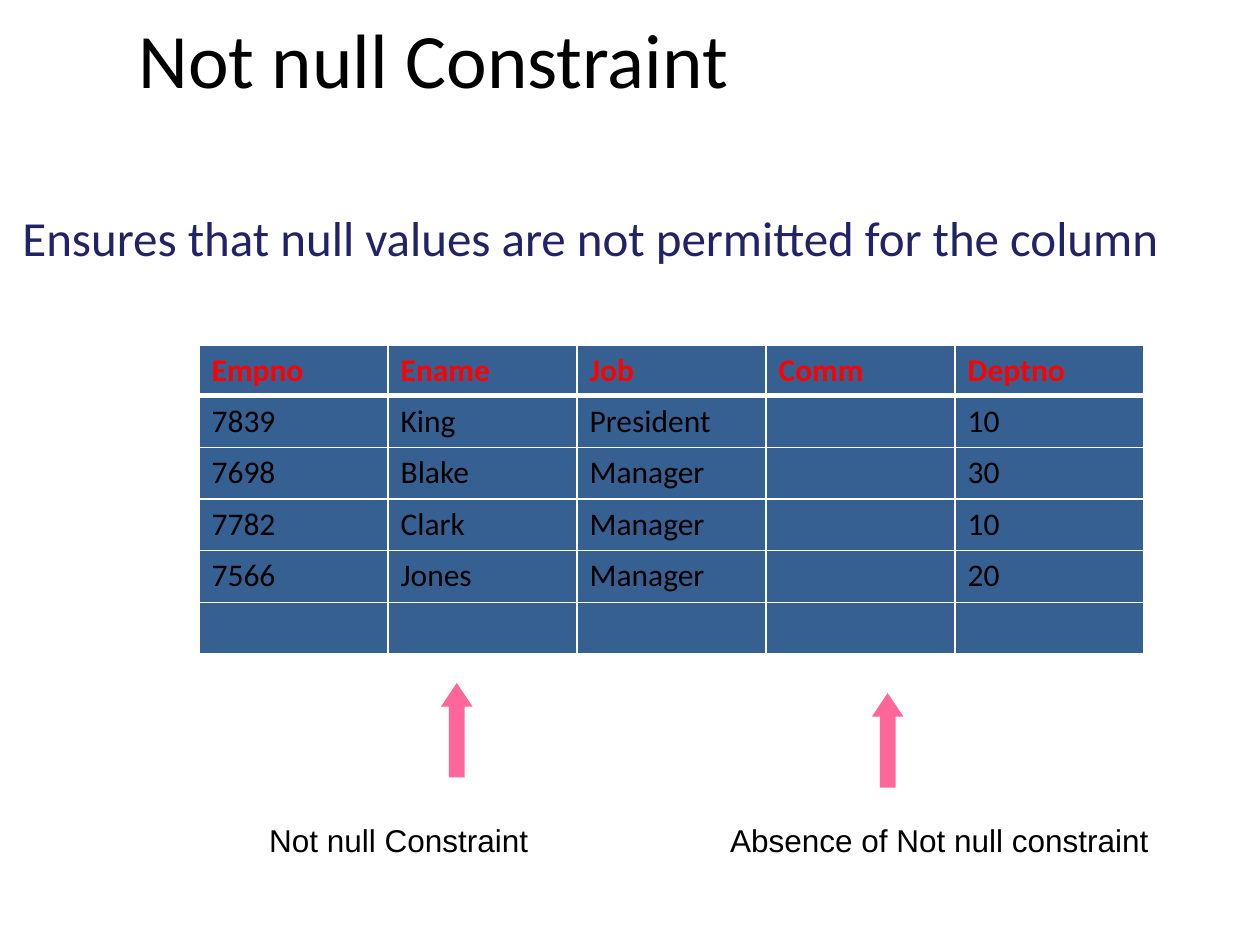
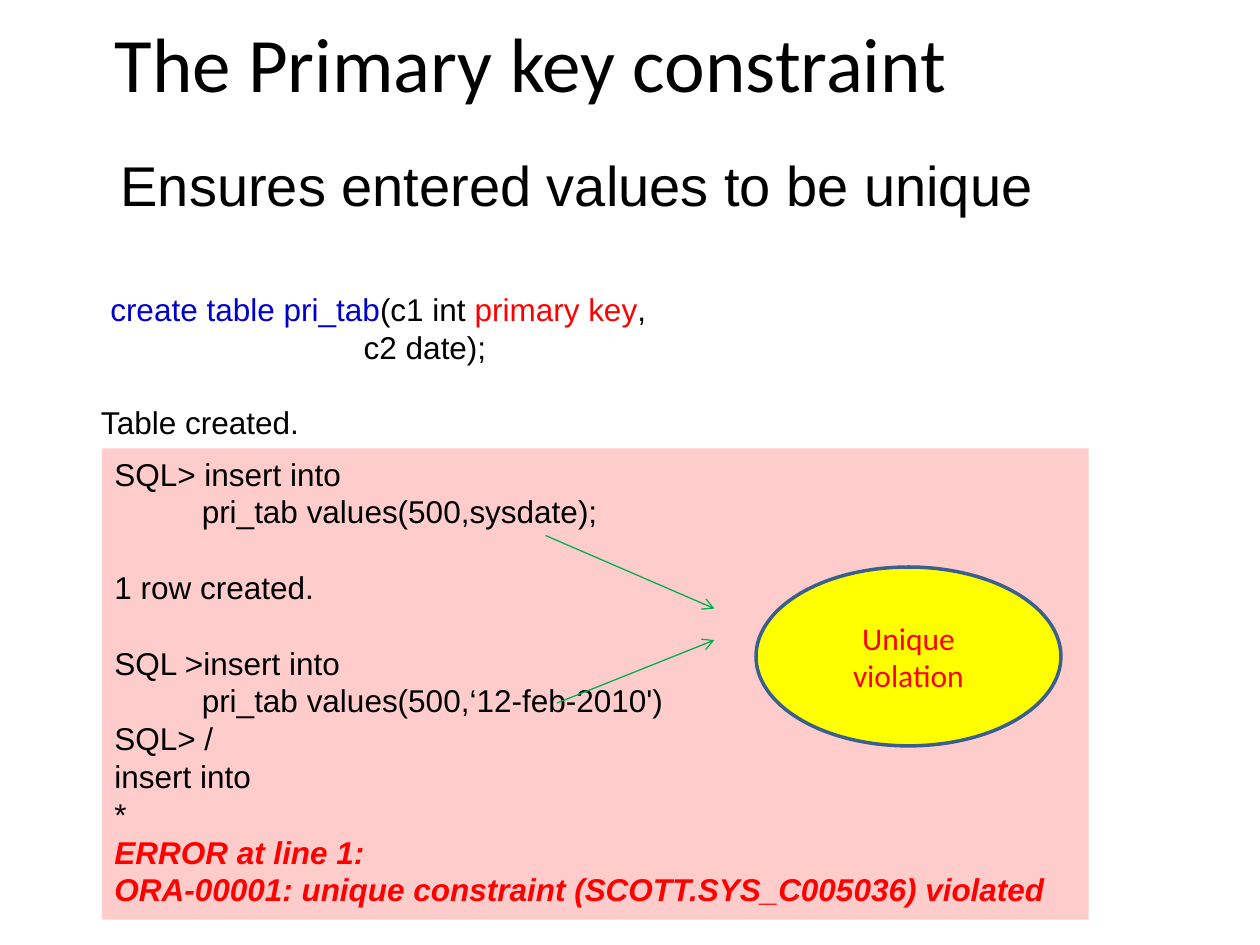
from dataclasses import dataclass

from lxml import etree
from pptx import Presentation
from pptx.dml.color import RGBColor
from pptx.enum.shapes import MSO_CONNECTOR, MSO_SHAPE
from pptx.enum.text import MSO_ANCHOR, PP_ALIGN
from pptx.oxml.ns import qn
from pptx.util import Inches, Pt

LEFT, CENTER = PP_ALIGN.LEFT, PP_ALIGN.CENTER
TOP, MIDDLE = MSO_ANCHOR.TOP, MSO_ANCHOR.MIDDLE
RECTANGLE, OVAL, UP_ARROW = MSO_SHAPE.RECTANGLE, MSO_SHAPE.OVAL, MSO_SHAPE.UP_ARROW
STRAIGHT = MSO_CONNECTOR.STRAIGHT
TITLE_ONLY = 5


@dataclass(frozen=True)
class Theme:
    heading_font: str = "Calibri"
    plain_font: str = "Arial"
    title_size: int = 44
    unique_size: int = 32
    lead_size: int = 28
    text_size: int = 18
    code_pitch: float = 21.6
    black: str = "000000"
    white: str = "FFFFFF"
    red: str = "FF0000"
    navy: str = "222267"
    keyword: str = "0000CC"
    cell: str = "376092"
    pointer: str = "FF6699"
    console: str = "FFCCCC"
    link: str = "00B050"
    warning: str = "FFFF00"
    warning_edge: str = "3A5F8C"


THEME = Theme()


def style(color=THEME.black, size=THEME.text_size, name=THEME.plain_font, **extra):
    return {"name": name, "size": Pt(size), "color": color, **extra}


TITLE = style(size=THEME.title_size, name=THEME.heading_font)
LEAD = style(THEME.navy, THEME.lead_size, THEME.heading_font)
UNIQUE_LEAD = style(size=THEME.unique_size)
PLAIN = style()
KEYWORD = style(THEME.keyword)
CONSTRAINT = style(THEME.red)
ERROR = style(THEME.red, bold=True, italic=True)
HEADER = style(THEME.red, name=THEME.heading_font, bold=True)
CELL = style(name=THEME.heading_font, bold=False)
WARNING = style(THEME.red, name=THEME.heading_font)


def set_all(target, values):
    for key, value in values.items():
        setattr(target, key, value)


def format_font(font, values):
    set_all(font, {k: v for k, v in values.items() if k != "color"})
    font.color.rgb = RGBColor.from_string(values["color"])


def paint(fill, color):
    fill.solid()
    fill.fore_color.rgb = RGBColor.from_string(color)


class Deck:
    """Holds the presentation and the slide being filled."""

    def __init__(self):
        self.prs = Presentation()
        set_all(self.prs, {"slide_width": Inches(10), "slide_height": Inches(7.5)})
        self.slide = None

    def add_slide(self, title, at):
        self.slide = self.prs.slides.add_slide(self.prs.slide_layouts[TITLE_ONLY])
        heading = self.slide.shapes.title
        set_all(heading, dict(zip(("left", "top", "width", "height"), map(Inches, at))))
        paint(heading.fill, THEME.white)
        self.put_text(heading.text_frame, title, TITLE, anchor=MIDDLE)

    def put_text(self, frame, text, look, align=LEFT, anchor=TOP):
        set_all(frame, {"word_wrap": True, "vertical_anchor": anchor})
        paragraph = frame.paragraphs[0]
        paragraph.alignment = align
        self.add_run(paragraph, text, look)

    def add_run(self, paragraph, text, look):
        run = paragraph.add_run()
        run.text = text
        format_font(run.font, look)

    def label(self, text, at, look=PLAIN, align=LEFT):
        box = self.slide.shapes.add_textbox(*map(Inches, at))
        self.put_text(box.text_frame, text, look, align, MIDDLE)

    def shape(self, kind, at, color, edge=None):
        shape = self.slide.shapes.add_shape(kind, *map(Inches, at))
        shape.shadow.inherit = False
        paint(shape.fill, color)
        if edge:
            paint(shape.line.fill, edge)
            shape.line.width = Pt(2)
        else:
            shape.line.fill.background()
        return shape

    def code(self, blocks, at, color=None):
        """Each block is a list of lines; one empty line's height parts blocks."""
        if color:
            box = self.shape(RECTANGLE, at, color)
        else:
            box = self.slide.shapes.add_textbox(*map(Inches, at))
        frame = box.text_frame
        set_all(frame, {"word_wrap": True, "vertical_anchor": TOP})
        paragraph = None
        for block in blocks:
            for number, line in enumerate(block):
                first = paragraph is None
                paragraph = frame.paragraphs[0] if first else frame.add_paragraph()
                gap = THEME.code_pitch if number == 0 and not first else 0
                set_all(paragraph, {"alignment": LEFT, "space_before": Pt(gap),
                                    "line_spacing": Pt(THEME.code_pitch)})
                for text, look in line:
                    self.add_run(paragraph, text, look)

    def arrow(self, start, end):
        line = self.slide.shapes.add_connector(STRAIGHT, *map(Inches, start + end))
        paint(line.line.fill, THEME.link)
        line.line.width = Pt(0.75)
        properties = line._element.spPr
        etree.SubElement(properties.find(qn("a:ln")), qn("a:tailEnd"), type="arrow")
        etree.SubElement(properties, qn("a:effectLst"))

    def border(self, cell, widths):
        properties = cell._tc.get_or_add_tcPr()
        for side, width in widths.items():
            edge = etree.SubElement(properties, qn(f"a:ln{side}"), w=str(Pt(width)))
            fill = etree.SubElement(edge, qn("a:solidFill"))
            etree.SubElement(fill, qn("a:srgbClr"), val=THEME.white)

    def table(self, rows, at, heights):
        frame = self.slide.shapes.add_table(len(rows), len(rows[0]), *map(Inches, at))
        table = frame.table
        set_all(table, {"first_row": False, "horz_banding": False})
        for r, values in enumerate(rows):
            table.rows[r].height = Inches(heights[r])
            for c, value in enumerate(values):
                cell = table.cell(r, c)
                self.border(cell, {"L": 1, "R": 1, "T": 3 if r == 1 else 1,
                                   "B": 3 if r == 0 else 1})
                paint(cell.fill, THEME.cell)
                paragraph = cell.text_frame.paragraphs[0]
                look = CELL if r else HEADER
                if value:
                    self.add_run(paragraph, value, look)
                else:
                    format_font(paragraph.font, look)


def not_null_slide(deck):
    deck.add_slide("Not null Constraint", (1, 0, 9, 0.92))
    deck.label("Ensures that null values are not permitted for the column",
               (0.08, 1.42, 9.83, 0.92), LEAD)

    # Employee table
    employees = [
        ("Empno", "Ename", "Job", "Comm", "Deptno"),
        ("7839", "King", "President", "", "10"),
        ("7698", "Blake", "Manager", "", "30"),
        ("7782", "Clark", "Manager", "", "10"),
        ("7566", "Jones", "Manager", "", "20"),
        ("",) * 5,
    ]
    deck.table(employees, (1.58, 2.74, 7.5, 2.43), [0.4] + [0.41] * 5)

    # Columns with and without the constraint
    pointers = [
        ("Not null Constraint", (1, 6.42, 4.33, 0.5), (3.5, 5.42)),
        ("Absence of Not null constraint", (5.58, 6.42, 3.75, 0.5), (6.92, 5.5)),
    ]
    for caption, caption_at, corner in pointers:
        deck.label(caption, caption_at, align=CENTER)
        pointer = deck.shape(UP_ARROW, corner + (0.25, 0.75), THEME.pointer)
        pointer.adjustments[1] = 0.75


def primary_key_slide(deck):
    deck.add_slide("The Primary key constraint", (0.81, 0.03, 8.46, 0.92))
    deck.label("Ensures entered values to be unique", (0.86, 1, 8.8, 0.92), UNIQUE_LEAD)

    # Table definition
    deck.code([
        [[("    create table pri_tab", KEYWORD), ("(c1 int ", PLAIN),
          ("primary key", CONSTRAINT), (",", PLAIN)],
         [("                                 c2 date);", PLAIN)]],
        [[("   Table created.", PLAIN)]],
    ], (0.5, 2.25, 6.83, 1.31))

    # Console session ending in the error
    session = [
        ["SQL> insert into", "          pri_tab values(500,sysdate);"],
        ["1 row created."],
        ["SQL >insert into", "          pri_tab values(500,‘12-feb-2010')",
         "SQL> /", "insert into", "*"],
    ]
    blocks = [[[(line, PLAIN)] for line in block] for block in session]
    blocks[-1] += [[(line, ERROR)] for line in (
        "ERROR at line 1:",
        "ORA-00001: unique constraint (SCOTT.SYS_C005036) violated")]
    deck.code(blocks, (0.81, 3.56, 7.83, 3.74), THEME.console)

    # Both inserts lead to the violation
    deck.arrow((4.33, 4.25), (5.67, 4.83))
    deck.arrow((4.42, 5.58), (5.67, 5.08))
    violation = deck.shape(OVAL, (6, 4.5, 2.42, 1.42), THEME.warning, THEME.warning_edge)
    deck.put_text(violation.text_frame, "Unique violation", WARNING, CENTER, MIDDLE)


def main():
    deck = Deck()
    not_null_slide(deck)
    primary_key_slide(deck)
    deck.prs.save("out.pptx")


if __name__ == "__main__":
    main()
